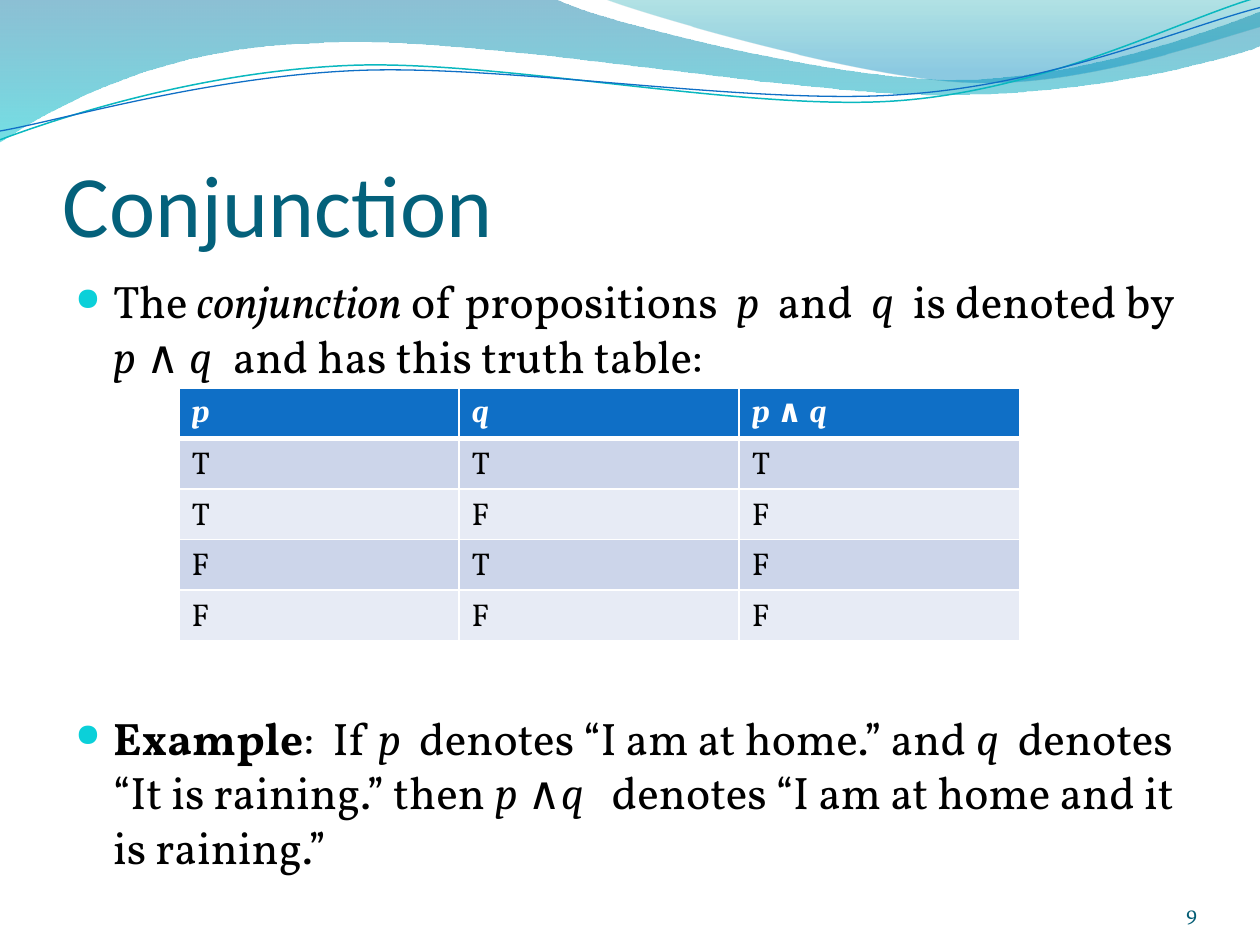
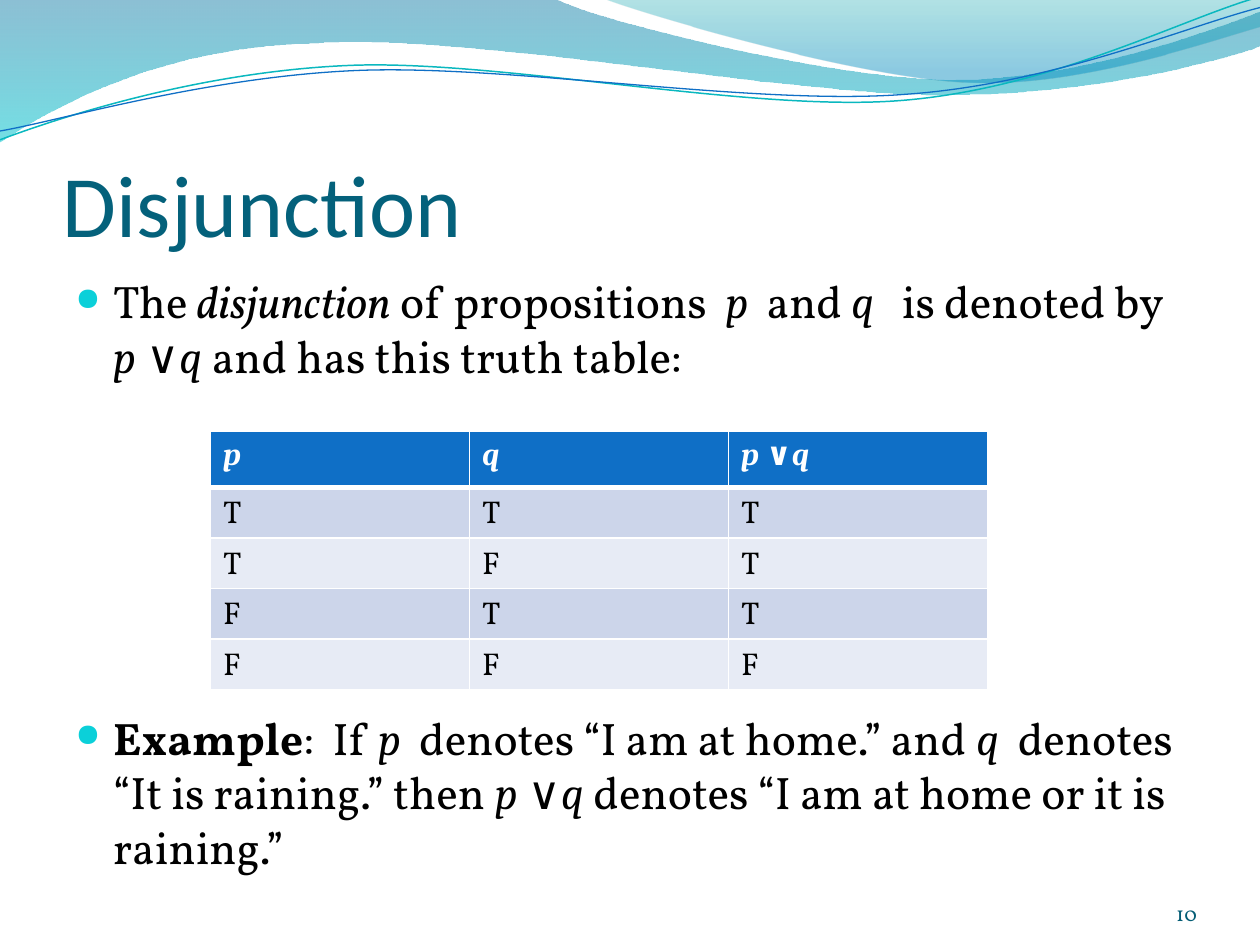
"""Builds two logic slides: the truth tables of conjunction and disjunction."""
from lxml import etree
from pptx import Presentation
from pptx import util as u
from pptx.dml.color import RGBColor
from pptx.enum import text
from pptx.oxml import ns

PX = u.Inches(1) // 100
COLOURS = {
    "title": "04617B", "body": "000000", "bullet": "0BD0D9", "number": "045D75",
    "header": "0F6FC6", "header text": "FFFFFF", "odd row": "CCD5EA", "even row": "E7EBF5",
    "rule": "FFFFFF", "teal line": "0AB8BF", "blue line": "0F6FC6",
}
RGB = {part: RGBColor.from_string(value) for part, value in COLOURS.items()}
STYLES = {
    "plain": ("Vollkorn", False, False),
    "term": ("Vollkorn", False, True),
    "label": ("Vollkorn", True, False),
    "var": ("Cambria", False, True),
    "sign": ("Cambria", False, False),
}

BANDS = [
    ([(0, 0), (440, -1),
      [(476, 17), (664, 63), (758, 63)], [(853, 63), (958, 26), (1000, 9)], (1001, 36),
      [(983, 44), (870, 76), (746, 75)], [(622, 75), (382, 28), (257, 34)],
      [(129, 36), (46, 83), (-1, 113)]],
     [(0, "0074A1", 45), (1, "00C6CF", 55)]),
    ([(479, -1), [(509, 11), (682, 62), (769, 65)], [(856, 69), (961, 32), (1000, 21)], (1000, 0)],
     [(0, "00A1A9", 30), (0.8, "008BBF", 45)]),
]
WAVES = [
    ([(0, 111), [(48, 93), (158, 57), (277, 52)], [(395, 47), (593, 89), (713, 80)],
      [(833, 71), (938, 15), (998, -2)]], "teal line", 0.85),
    ([(0, 104), [(47, 96), (164, 61), (283, 56)], [(403, 51), (597, 84), (717, 75)],
      [(836, 67), (941, 21), (1000, 6)]], "blue line", 0.75),
]

SLIDES = [
    {
        "title": "Conjunction", "number": "9",
        "definition": [
            ("plain", "The "), ("term", "conjunction"), ("plain", " of propositions  "),
            ("var", "p"), ("plain", "  and  "), ("var", "q"), ("plain", "  is denoted by "),
            ("var", "p "), ("sign", "∧ "), ("var", "q  "),
            ("plain", "and has this truth table:")],
        "example": [
            ("var", "p "), ("sign", "∧"), ("var", "q"),
            ("plain", "   denotes “I am at home and it is raining.”")],
        "compound": [("var", "p "), ("sign", "∧ "), ("var", "q")],
        "outcomes": "TFFF", "table at": (142, 308), "table width": 667, "header height": 33,
        "body height": 480,
    },
    {
        "title": "Disjunction", "number": "10",
        "definition": [
            ("plain", "The "), ("term", "disjunction"), ("plain", " of propositions  "),
            ("var", "p"), ("plain", "  and "), ("var", "q"), ("plain", "   is denoted by  "),
            ("var", "p "), ("sign", "∨"), ("var", "q"),
            ("plain", " and has this truth table:")],
        "example": [
            ("var", "p "), ("sign", "∨"), ("var", "q"),
            ("plain", " denotes “I am at home or it is raining.”")],
        "compound": [("var", "p "), ("sign", "∨"), ("var", "q")],
        "outcomes": "TTTF", "table at": (167, 342), "table width": 617, "header height": 45,
        "body height": 513,
    },
]
EXAMPLE_START = [
    ("label", "Example"), ("plain", ":  If "), ("var", "p"),
    ("plain", "  denotes “I am at home.” and "), ("var", "q"),
    ("plain", "  denotes “It is raining.” then ")]
ROW_HEIGHT = 33


def add_outline(slide, outline, closed):
    """Draw straight steps (points) and cubic curves (lists of three points)."""
    points = []
    for step in outline:
        points += step if isinstance(step, list) else [step]
    emu = [(x * PX, y * PX) for x, y in points]
    builder = slide.shapes.build_freeform(*emu[0])
    builder.add_line_segments(emu[1:], close=closed)
    shape = builder.convert_to_shape()
    shape.shadow.inherit = False
    segments = iter(list(shape._element.iter(ns.qn("a:lnTo"))))
    for step in outline[1:]:
        segment = next(segments)
        if isinstance(step, list):
            curve = etree.Element(ns.qn("a:cubicBezTo"))
            segment.addprevious(curve)
            for part in (segment, next(segments), next(segments)):
                curve.append(part[0])
                part.getparent().remove(part)
    return shape


def write(paragraph, runs, size, colour, bold=False):
    """Fill a paragraph with styled runs."""
    paragraph.font.size = u.Pt(size)
    paragraph.font.color.rgb = RGB[colour]
    for style, words in runs:
        run = paragraph.add_run()
        run.text = words
        name, strong, slanted = STYLES[style]
        run.font.name = name
        run.font.bold = strong or bold
        run.font.italic = slanted


prs = Presentation()
prs.slide_width, prs.slide_height = 1000 * PX, 750 * PX

for content in SLIDES:
    slide = prs.slides.add_slide(prs.slide_layouts[6])

    for outline, stops in BANDS:
        band = add_outline(slide, outline, True)
        band.line.fill.background()
        band.fill.gradient()
        band.fill.gradient_angle = 270
        for stop, (position, colour, _) in zip(band.fill.gradient_stops, stops):
            stop.position = position
            stop.color.rgb = RGBColor.from_string(colour)
        for colour_node, (_, _, opacity) in zip(band._element.spPr.iter(ns.qn("a:srgbClr")), stops):
            etree.SubElement(colour_node, ns.qn("a:alpha"), val=str(opacity * 1000))

    for outline, colour, width in WAVES:
        wave = add_outline(slide, outline, False)
        wave.fill.background()
        wave.line.color.rgb = RGB[colour]
        wave.line.width = u.Pt(width)

    title = slide.shapes.add_textbox(50 * PX, 77 * PX, 900 * PX, 125 * PX).text_frame
    title.word_wrap = True
    title.vertical_anchor = text.MSO_ANCHOR.BOTTOM
    title.margin_left = title.margin_right = title.margin_bottom = 0
    heading = title.paragraphs[0]
    heading.text = content["title"]
    heading.font.name, heading.font.size = "Calibri", u.Pt(50)
    heading.font.color.rgb = RGB["title"]

    body = slide.shapes.add_textbox(
        50 * PX, 212 * PX, 900 * PX, content["body height"] * PX).text_frame
    body.word_wrap = True
    definition, example = body.paragraphs[0], body.add_paragraph()
    example.space_before = u.Pt(187)
    for paragraph, runs in ((definition, content["definition"]),
                            (example, EXAMPLE_START + content["example"])):
        props = paragraph._p.get_or_add_pPr()
        props.set("marL", str(30 * PX))
        props.set("indent", str(-30 * PX))
        bullet_colour = etree.SubElement(props, ns.qn("a:buClr"))
        etree.SubElement(bullet_colour, ns.qn("a:srgbClr"), val=COLOURS["bullet"])
        etree.SubElement(props, ns.qn("a:buSzPct"), val="70000")
        etree.SubElement(props, ns.qn("a:buChar"), char="●")
        write(paragraph, runs, 26, "body")

    left, top = content["table at"]
    truth_table = slide.shapes.add_table(
        5, 3, left * PX, top * PX, content["table width"] * PX, 200 * PX).table
    for column in truth_table.columns:
        column.width = content["table width"] * PX // 3
    for i, row in enumerate(truth_table.rows):
        row.height = (ROW_HEIGHT if i else content["header height"]) * PX
    header = [[("var", "p")], [("var", "q")], content["compound"]]
    values = [[[("plain", value)] for value in row]
              for row in zip("TTFF", "TFTF", content["outcomes"])]
    for i, row in enumerate([header] + values):
        fill = "header" if i == 0 else "odd row" if i % 2 else "even row"
        for j, runs in enumerate(row):
            cell = truth_table.cell(i, j)
            cell.fill.solid()
            cell.fill.fore_color.rgb = RGB[fill]
            write(cell.text_frame.paragraphs[0], runs, 18,
                  "body" if i else "header text", bold=i == 0)
            if i == 0:
                rule = etree.Element(ns.qn("a:lnB"), w=str(u.Pt(3)))
                rule_fill = etree.SubElement(rule, ns.qn("a:solidFill"))
                etree.SubElement(rule_fill, ns.qn("a:srgbClr"), val=COLOURS["rule"])
                cell._tc.get_or_add_tcPr().insert(0, rule)

    footer = slide.shapes.add_textbox(867 * PX, 695 * PX, 83 * PX, 40 * PX).text_frame
    footer.word_wrap = True
    footer.vertical_anchor = text.MSO_ANCHOR.BOTTOM
    footer.margin_left = footer.margin_right = footer.margin_top = footer.margin_bottom = 0
    number = footer.paragraphs[0]
    number.text = content["number"]
    number.alignment = text.PP_ALIGN.RIGHT
    number.font.name, number.font.size = "Vollkorn", u.Pt(12)
    number.font.color.rgb = RGB["number"]

prs.save("out.pptx")
